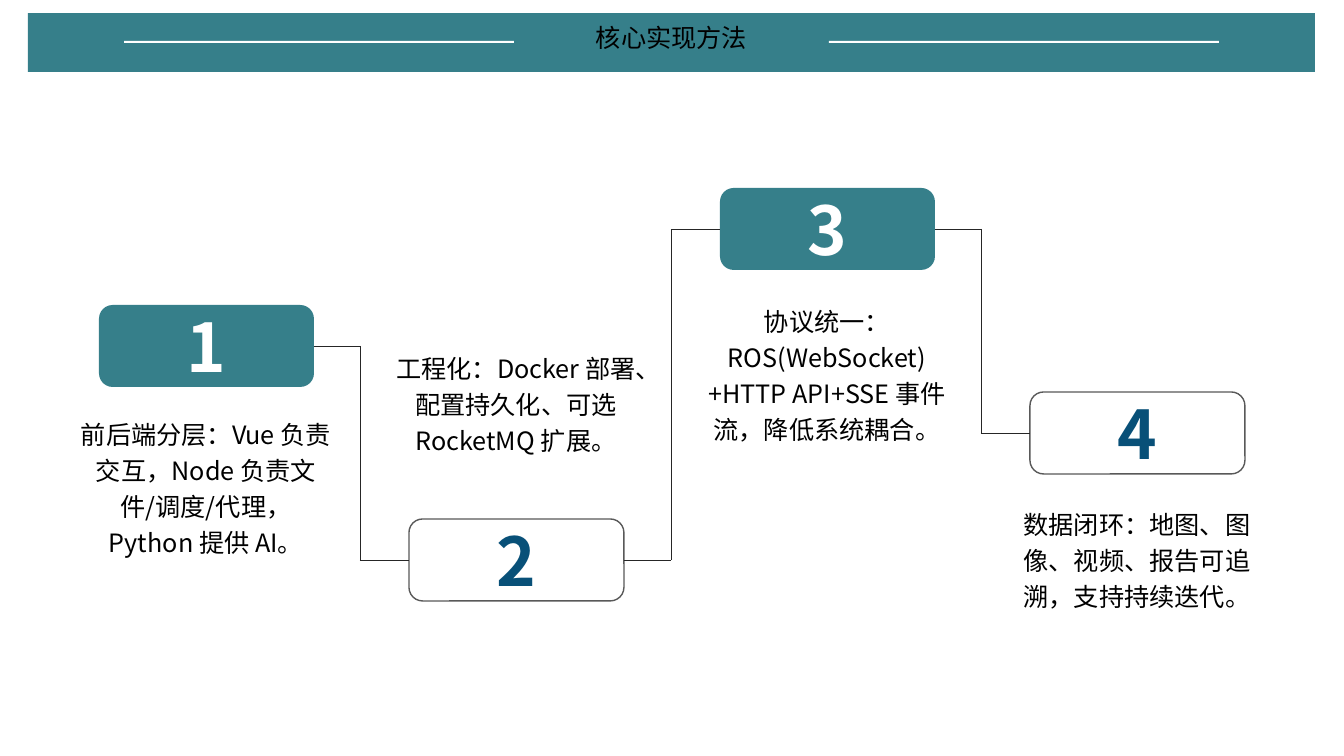
from pptx import Presentation
from pptx.dml.color import RGBColor
from pptx.enum.shapes import MSO_CONNECTOR, MSO_SHAPE
from pptx.enum.text import MSO_ANCHOR, PP_ALIGN
from pptx.oxml.ns import qn
from pptx.util import Inches, Pt
from lxml import etree

RECT, ROUNDED = MSO_SHAPE.RECTANGLE, MSO_SHAPE.ROUNDED_RECTANGLE
STRAIGHT = MSO_CONNECTOR.STRAIGHT
CENTER = PP_ALIGN.CENTER
TOP, MIDDLE = MSO_ANCHOR.TOP, MSO_ANCHOR.MIDDLE
LEFT_SIDE, RIGHT_SIDE = 1, 3

TEAL = RGBColor(0x36, 0x7F, 0x8A)
NAVY = RGBColor(0x08, 0x50, 0x78)
WHITE = RGBColor(0xFF, 0xFF, 0xFF)
BLACK = RGBColor(0x00, 0x00, 0x00)
OUTLINE = RGBColor(0x59, 0x59, 0x59)
LINK = RGBColor(0x26, 0x26, 0x26)

FONT = "Noto Sans CJK SC"
PX_PER_INCH = 100.8
CARD_WIDTH, CARD_HEIGHT = 215, 82
TEXT_WIDTH, TEXT_HEIGHT = 270, 152
TEXT_OVERHANG = 28
ELBOW_GAP = 49

# Card left, card top, text top, wording
STEPS = [
    (99, 305, 408, "前后端分层：Vue 负责交互，Node 负责文件/调度/代理，Python 提供 AI。"),
    (409, 519, 342, "工程化：Docker 部署、配置持久化、可选 RocketMQ 扩展。"),
    (720, 188, 295, "协议统一：ROS(WebSocket)+HTTP API+SSE 事件流，降低系统耦合。"),
    (1030, 392, 498, "数据闭环：地图、图像、视频、报告可追溯，支持持续迭代。"),
]


def px(length):
    return Inches(length / PX_PER_INCH)


class Painter:
    """Draws on one page with lengths in px."""

    def __init__(self, page):
        self.page = page

    def shape(self, kind, left, top, width, height, fill=None, outline=None):
        box = self.page.shapes.add_shape(kind, px(left), px(top), px(width), px(height))
        box.shadow.inherit = False
        if fill is None:
            box.fill.background()
        else:
            box.fill.solid()
            box.fill.fore_color.rgb = fill
        if outline is None:
            box.line.fill.background()
        else:
            box.line.color.rgb = outline
            box.line.width = Pt(1)
        return box

    def fill_text(self, box, wording, size, color, bold=False, spacing=None, anchor=TOP):
        frame = box.text_frame
        frame.word_wrap = True
        frame.vertical_anchor = anchor
        para = frame.paragraphs[0]
        para.alignment = CENTER
        if spacing:
            para.line_spacing = spacing
        span = para.add_run()
        span.text = wording
        span.font.size = Pt(size)
        span.font.bold = bold
        span.font.color.rgb = color
        span.font.name = FONT
        east_asian = etree.SubElement(span._r.get_or_add_rPr(), qn("a:ea"))
        east_asian.set("typeface", FONT)

    def text(self, left, top, width, height, wording, size, color, **style):
        box = self.page.shapes.add_textbox(px(left), px(top), px(width), px(height))
        self.fill_text(box, wording, size, color, **style)

    def card(self, left, top, number):
        filled = number % 2 == 1
        box = self.shape(ROUNDED, left, top, CARD_WIDTH, CARD_HEIGHT,
                         fill=TEAL if filled else None,
                         outline=None if filled else OUTLINE)
        frame = box.text_frame
        frame.margin_top = frame.margin_bottom = 0
        self.fill_text(box, str(number), 48, WHITE if filled else NAVY,
                       bold=True, anchor=MIDDLE)
        return box

    def line(self, start, end):
        link = self.page.shapes.add_connector(
            STRAIGHT, px(start[0]), px(start[1]), px(end[0]), px(end[1]))
        link.line.color.rgb = LINK
        link.line.width = Pt(0.5)
        etree.SubElement(link._element.spPr, qn("a:effectLst"))
        return link

    def stepped_link(self, first, second, first_spot, second_spot):
        """Joins two cards by a horizontal, a vertical and a horizontal line."""
        start_y = first_spot[1] + CARD_HEIGHT // 2
        end_y = second_spot[1] + CARD_HEIGHT // 2
        turn = second_spot[0] - ELBOW_GAP
        leaving = self.line((first_spot[0] + CARD_WIDTH, start_y), (turn, start_y))
        leaving.begin_connect(first, RIGHT_SIDE)
        self.line((turn, start_y), (turn, end_y))
        arriving = self.line((turn, end_y), (second_spot[0], end_y))
        arriving.end_connect(second, LEFT_SIDE)


def main():
    deck = Presentation()
    deck.slide_width, deck.slide_height = px(1344), px(756)
    painter = Painter(deck.slides.add_slide(deck.slide_layouts[6]))

    painter.shape(RECT, 28, 13, 1287, 59, fill=TEAL)
    painter.text(531, 17, 281, 50, "核心实现方法", 18, BLACK)
    for rule_left in (124, 829):
        painter.shape(RECT, rule_left, 41, 390, 2, fill=WHITE)

    spots = [(left, top) for left, top, _, _ in STEPS]
    cards = [painter.card(left, top, number)
             for number, (left, top) in enumerate(spots, start=1)]
    for index in range(len(cards) - 1):
        painter.stepped_link(cards[index], cards[index + 1],
                             spots[index], spots[index + 1])
    for left, _, text_top, wording in STEPS:
        painter.text(left - TEXT_OVERHANG, text_top, TEXT_WIDTH, TEXT_HEIGHT,
                     wording, 18, BLACK, spacing=1.2)

    deck.save("out.pptx")


if __name__ == "__main__":
    main()
